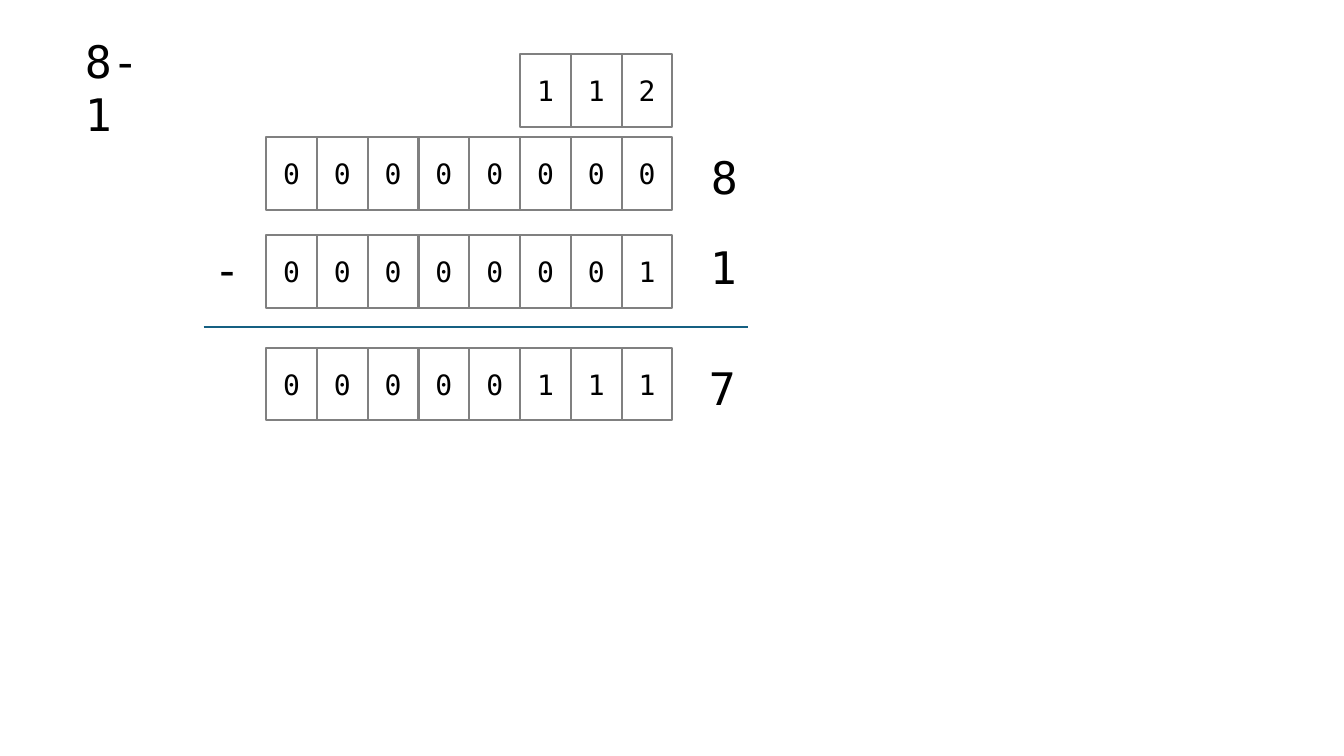
from dataclasses import dataclass

from lxml.etree import SubElement
from pptx import Presentation
from pptx.dml.color import RGBColor
from pptx.enum.shapes import MSO_CONNECTOR as CONN, MSO_SHAPE as SHAPE
from pptx.enum.text import MSO_ANCHOR as ANCHOR, MSO_AUTO_SIZE as FIT, PP_ALIGN as ALIGN
from pptx.oxml.ns import qn
from pptx.util import Inches, Pt


@dataclass(frozen=True)
class Theme:
    font: str = "DejaVu Sans Mono"
    ink: RGBColor = RGBColor(0, 0, 0)
    paper: RGBColor = RGBColor(255, 255, 255)
    border: RGBColor = RGBColor.from_string("808080")
    rule: RGBColor = RGBColor.from_string("156082")
    large: int = 32
    bit: int = 20
    stroke: float = 1.5


class Sheet:
    BITS = 8
    LEFT = 2.64
    COL = 4.03 / BITS
    ROW = 0.72
    LABEL = (0.9, 0.89)

    def __init__(self, slide, theme):
        self.slide, self.theme = slide, theme

    def x(self, col):
        return Inches(self.LEFT + col * self.COL)

    def y(self, row):
        return Inches(row * self.ROW)

    def box(self, col, row, cols, rows):
        return (self.x(col), self.y(row),
                Inches(cols * self.COL), Inches(rows * self.ROW))

    def add_text(self, tf, text, size, align):
        p = tf.paragraphs[0]
        p.alignment = align
        r = p.add_run()
        r.text = text
        r.font.name = self.theme.font
        r.font.size = Pt(size)
        r.font.color.rgb = self.theme.ink

    def title(self, text, col, row, cols, rows):
        sp = self.slide.shapes.title
        sp.left, sp.top, sp.width, sp.height = self.box(col, row, cols, rows)
        tf = sp.text_frame
        tf.word_wrap = True
        tf.auto_size = FIT.SHAPE_TO_FIT_TEXT
        tf.vertical_anchor = ANCHOR.TOP
        self.add_text(tf, text, self.theme.large, ALIGN.LEFT)

    def label(self, text, col, row):
        sp = self.slide.shapes.add_textbox(*self.box(col, row, *self.LABEL))
        tf = sp.text_frame
        tf.word_wrap = False
        tf.auto_size = FIT.SHAPE_TO_FIT_TEXT
        self.add_text(tf, text, self.theme.large, ALIGN.LEFT)

    def cell(self, digit, col, row):
        sp = self.slide.shapes.add_shape(SHAPE.RECTANGLE, *self.box(col, row, 1, 1))
        sp.shadow.inherit = False
        sp.fill.solid()
        sp.fill.fore_color.rgb = self.theme.paper
        sp.line.color.rgb = self.theme.border
        sp.line.width = Pt(self.theme.stroke)
        tf = sp.text_frame
        tf.margin_left = tf.margin_right = Inches(0.04)
        tf.vertical_anchor = ANCHOR.MIDDLE
        self.add_text(tf, digit, self.theme.bit, ALIGN.CENTER)

    def number(self, digits, row):
        for col, digit in enumerate(digits, self.BITS - len(digits)):
            self.cell(digit, col, row)

    def rule(self, start, end, row):
        line = self.slide.shapes.add_connector(
            CONN.STRAIGHT, self.x(start), self.y(row), self.x(end), self.y(row))
        line.line.color.rgb = self.theme.rule
        line.line.width = Pt(self.theme.stroke)
        SubElement(line._element.spPr, qn("a:effectLst"))


def main():
    prs = Presentation()
    prs.slide_width, prs.slide_height = Inches(13.33), Inches(7.5)
    s = Sheet(prs.slides.add_slide(prs.slide_layouts[5]), Theme())

    s.title("8-1", -3.77, 0.39, 1.87, 0.89)
    for digits, row in (("112", 0.75), ("00000000", 1.89),
                        ("00000001", 3.24), ("00000111", 4.79)):
        s.number(digits, row)
    for text, col, row in (("-", -1.23, 3.26), ("8", 8.56, 1.99),
                           ("1", 8.54, 3.24), ("7", 8.52, 4.9)):
        s.label(text, col, row)
    s.rule(-1.23, 9.49, 4.51)

    prs.save("out.pptx")


if __name__ == "__main__":
    main()
